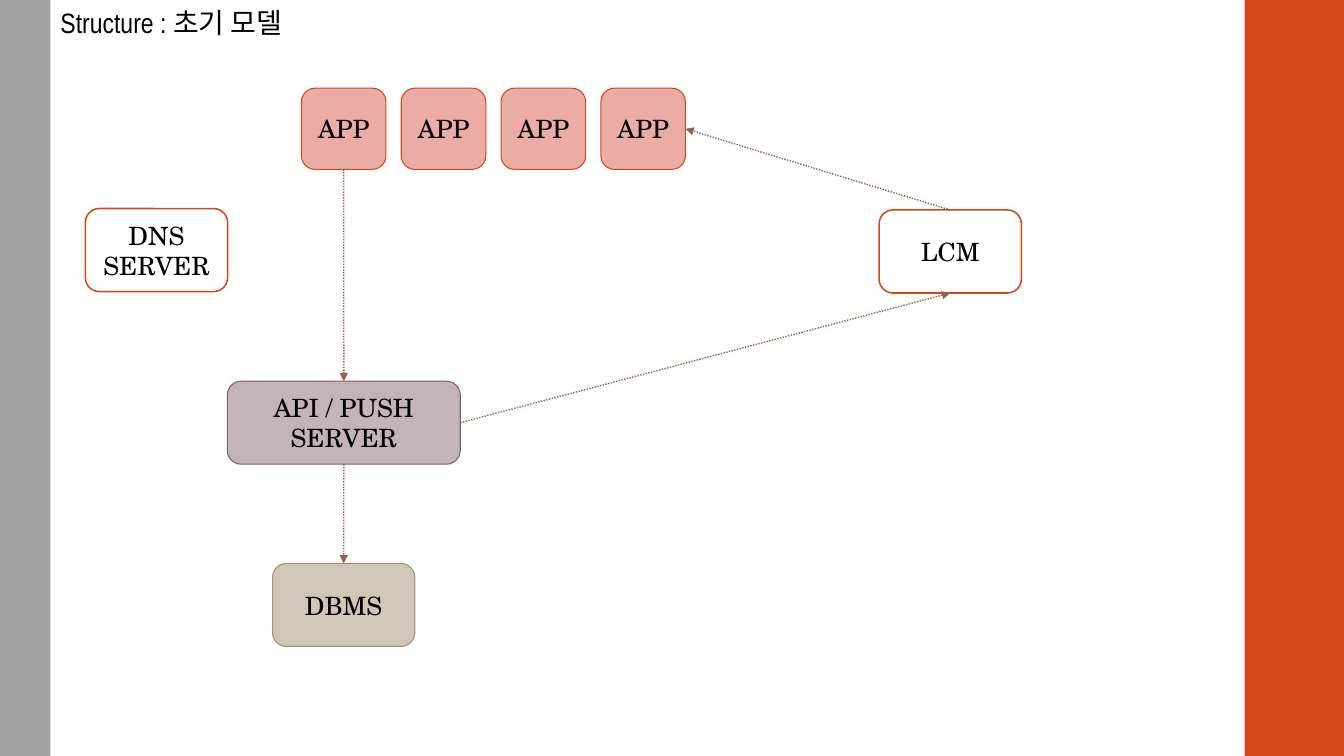
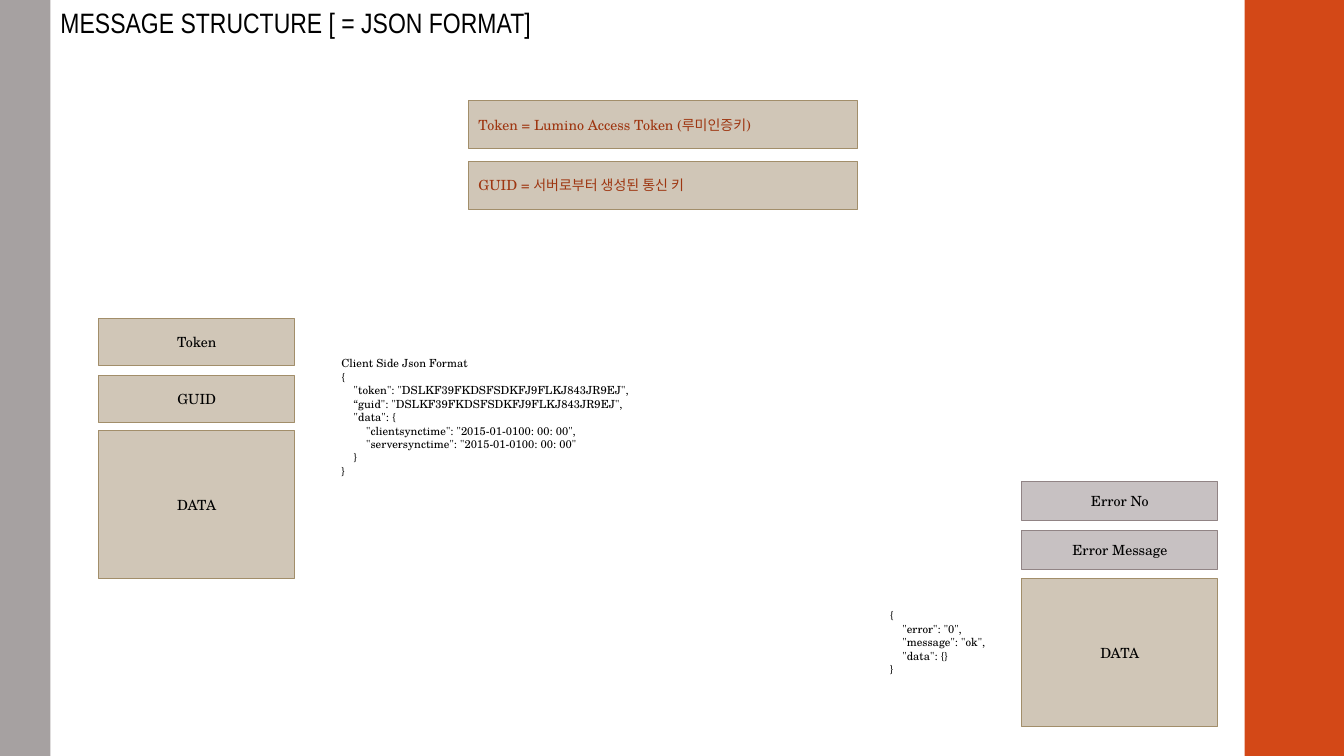
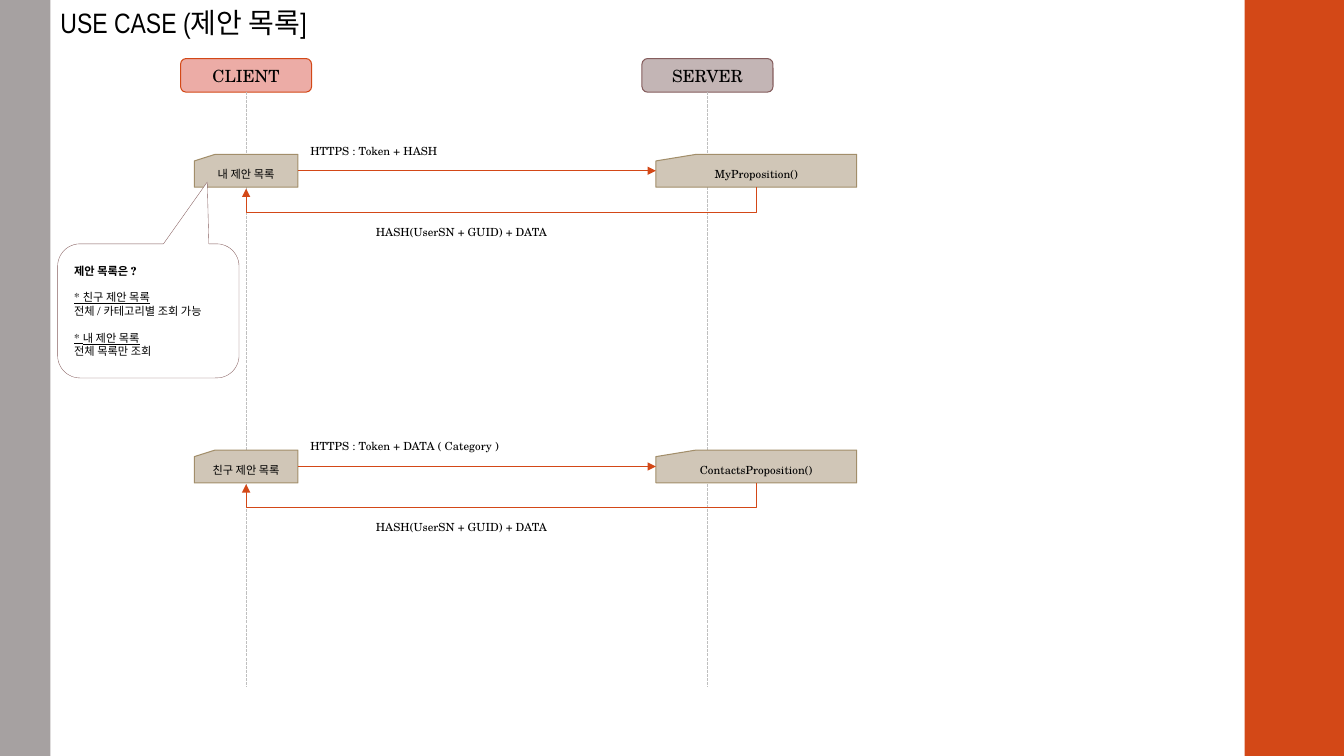
"""Build three slides on the structure, messages and use case of a push service."""
from pptx import Presentation
from pptx.dml.color import RGBColor
from pptx.enum.dml import MSO_LINE
from pptx.enum.shapes import MSO_CONNECTOR, MSO_SHAPE
from pptx.enum.text import MSO_ANCHOR, PP_ALIGN
from pptx.oxml.ns import qn
from pptx.util import Pt
from lxml import etree

RECT = MSO_SHAPE.RECTANGLE
ROUND = MSO_SHAPE.ROUNDED_RECTANGLE
CARD = MSO_SHAPE.FLOWCHART_CARD
CALLOUT = MSO_SHAPE.ROUNDED_RECTANGULAR_CALLOUT
STRAIGHT, ELBOW = MSO_CONNECTOR.STRAIGHT, MSO_CONNECTOR.ELBOW
DOT, DASH = MSO_LINE.ROUND_DOT, MSO_LINE.SQUARE_DOT
LEFT, CENTER = PP_ALIGN.LEFT, PP_ALIGN.CENTER
TOP, MIDDLE = MSO_ANCHOR.TOP, MSO_ANCHOR.MIDDLE
TOP_SIDE, LEFT_SIDE, BOTTOM_SIDE, RIGHT_SIDE = range(4)

ORANGE, GRAY, WHITE, BLACK = "D34817", "A6A1A1", "FFFFFF", "000000"
PINK, MAUVE, PLUM = "ECACA6", "C3B5B5", "855D5D"
SAND, BROWN, RUST = "D0C6B7", "A28E6A", "9E3611"
SILVER, SLATE = "C7C1C2", "918485"
DOTTED, PALE = "956251", "BFBFBF"
TITLE_FONT, BODY_FONT = "Arial Narrow", "TeX Gyre Schola"
INDENT = 8.9
rgb = RGBColor.from_string


def write(shape, text, size=18, font=BODY_FONT, color=BLACK, align=CENTER,
          anchor=MIDDLE, fill=None, line=None, width=0.75):
    """Fill a shape with text, one paragraph a line; leading tabs set its indent."""
    if fill:
        shape.shadow.inherit = False
        shape.fill.solid()
        shape.fill.fore_color.rgb = rgb(fill)
        shape.line.color.rgb = rgb(line)
        shape.line.width = Pt(width)
    frame = shape.text_frame
    frame.word_wrap = True
    frame.vertical_anchor = anchor
    for index, words in enumerate(text.split("\n")):
        para = frame.add_paragraph() if index else frame.paragraphs[0]
        para.alignment = align
        level = words.count("\t")
        if level:
            para._p.get_or_add_pPr().set("marL", str(Pt(INDENT * level)))
        span = para.add_run()
        span.text = words.lstrip("\t")
        span.font.size = Pt(size)
        span.font.name = font
        span.font.color.rgb = rgb(color)
    return shape


def style_line(connector, color=ORANGE, width=0.75, dash=None, arrow=True):
    """Set the colour, width, dash and arrowhead of a connector."""
    connector.line.color.rgb = rgb(color)
    connector.line.width = Pt(width)
    if dash:
        connector.line.dash_style = dash
    outline = connector.element.spPr.find(qn("a:ln"))
    if arrow:
        etree.SubElement(outline, qn("a:tailEnd"), type="triangle")
    etree.SubElement(connector.element.spPr, qn("a:effectLst"))


deck = Presentation()
deck.slide_width, deck.slide_height = Pt(960), Pt(540)
layout = deck.slide_layouts[5]
layout_title = layout.placeholders[0]
layout_title.left, layout_title.top = Pt(36), Pt(0)
layout_title.width, layout_title.height = Pt(853), Pt(31.7)

pages = []
for heading in ("Structure : 초기 모델", "MESSAGE STRUCTURE [ = JSON FORMAT]",
                "USE CASE (제안 목록]"):
    page = deck.slides.add_slide(layout)
    write(page.shapes.title, heading, size=20, font=TITLE_FONT, align=LEFT)
    pages.append(page)
structure, message, use_case = pages

for number, (left, width, color) in enumerate([(889, 71, ORANGE), (0, 36, GRAY)]):
    band = structure.shapes.add_shape(RECT, Pt(left), Pt(0), Pt(width), Pt(540))
    band.shadow.inherit = False
    band.fill.solid()
    band.fill.fore_color.rgb = rgb(color)
    band.line.fill.background()
    band.element.nvSpPr.cNvPr.set("id", str(20 + number))
    layout.shapes.element.insert(2, band.element)

apps = []
for column in range(4):
    app = structure.shapes.add_shape(ROUND, Pt(215.3 + 71.3 * column), Pt(63),
                                     Pt(60.4), Pt(58))
    apps.append(write(app, "APP", fill=PINK, line=ORANGE))

nodes = []
for text, left, top, width, fill, line, weight in [
    ("DNS\nSERVER", 61, 149, 101.6, WHITE, ORANGE, 1.1),
    ("API / PUSH\nSERVER", 162.4, 272.3, 166.4, MAUVE, PLUM, 0.75),
    ("DBMS", 194.7, 402.5, 101.6, SAND, BROWN, 0.75),
    ("LCM", 628, 150, 101.6, WHITE, ORANGE, 1.1),
]:
    node = structure.shapes.add_shape(ROUND, Pt(left), Pt(top), Pt(width), Pt(59.3))
    nodes.append(write(node, text, fill=fill, line=line, width=weight))
dns, api, dbms, messaging = nodes

for source, source_side, target, target_side in [
    (apps[0], BOTTOM_SIDE, api, TOP_SIDE),
    (api, BOTTOM_SIDE, dbms, TOP_SIDE),
    (api, RIGHT_SIDE, messaging, BOTTOM_SIDE),
    (messaging, TOP_SIDE, apps[-1], RIGHT_SIDE),
]:
    arrow = structure.shapes.add_connector(STRAIGHT, 0, 0, 0, 0)
    arrow.begin_connect(source, source_side)
    arrow.end_connect(target, target_side)
    style_line(arrow, color=DOTTED, width=1, dash=DOT)

for text, left, top, width, height, fill, line, color, align in [
    ("Token = Lumino Access Token (루미인증키)", 334.7, 72, 278, 34.3, SAND, BROWN, RUST, LEFT),
    ("GUID = 서버로부터 생성된 통신 키", 334.7, 115.2, 278, 34.3, SAND, BROWN, RUST, LEFT),
    ("Token", 70.6, 227.4, 139.8, 33.8, SAND, BROWN, BLACK, CENTER),
    ("GUID", 70.6, 268.2, 139.8, 33.8, SAND, BROWN, BLACK, CENTER),
    ("DATA", 70.6, 307.4, 139.8, 106, SAND, BROWN, BLACK, CENTER),
    ("Error No", 730, 344.2, 139.8, 27.6, SILVER, SLATE, BLACK, CENTER),
    ("Error Message", 730, 379, 139.8, 27.6, SILVER, SLATE, BLACK, CENTER),
    ("DATA", 730, 413.3, 139.8, 106, SAND, BROWN, BLACK, CENTER),
]:
    field = message.shapes.add_shape(RECT, Pt(left), Pt(top), Pt(width), Pt(height))
    write(field, text, size=10, color=color, align=align, fill=fill, line=line)

REQUEST = """Client Side Json Format
{
\t"token": "DSLKF39FKDSFSDKFJ9FLKJ843JR9EJ",
\t“guid": "DSLKF39FKDSFSDKFJ9FLKJ843JR9EJ",
\t"data": {
\t\t"clientsynctime": "2015-01-0100: 00: 00",
\t\t"serversynctime": "2015-01-0100: 00: 00"
\t}
}"""
RESPONSE = """{
\t"error": "0",
\t"message": "ok",
\t"data": {}
}"""
for text, left, top, width, height in [
    (REQUEST, 236.7, 251.3, 240, 94.3),
    (RESPONSE, 628.6, 431.3, 95, 55.4),
]:
    sample = message.shapes.add_textbox(Pt(left), Pt(top), Pt(width), Pt(height))
    write(sample, text, size=8, align=LEFT, anchor=TOP)

for text, left, fill, line in [("CLIENT", 129, PINK, ORANGE),
                               ("SERVER", 458.6, MAUVE, PLUM)]:
    actor = use_case.shapes.add_shape(ROUND, Pt(left), Pt(41.8), Pt(93.6), Pt(24))
    write(actor, text, size=12, fill=fill, line=line)
    center = Pt(left + 46.8)
    lifeline = use_case.shapes.add_connector(STRAIGHT, center, Pt(65.8), center, Pt(491))
    lifeline.begin_connect(actor, BOTTOM_SIDE)
    style_line(lifeline, color=PALE, dash=DASH, arrow=False)

for top, request, handler, payload in [
    (110.3, "내 제안 목록", "MyProposition()", "HTTPS : Token + HASH"),
    (321.5, "친구 제안 목록", "ContactsProposition()", "HTTPS : Token + DATA ( Category )"),
]:
    cards = []
    for text, left, width in [(request, 138.8, 74), (handler, 468.5, 143.4)]:
        card = use_case.shapes.add_shape(CARD, Pt(left), Pt(top), Pt(width), Pt(23.4))
        cards.append(write(card, text, size=8, fill=SAND, line=BROWN))
    call = use_case.shapes.add_connector(STRAIGHT, 0, 0, 0, 0)
    call.begin_connect(cards[0], RIGHT_SIDE)
    call.end_connect(cards[1], LEFT_SIDE)
    style_line(call)

    reach = 364.4
    reply_top = top + 23.9 - reach / 2
    reply = use_case.shapes.add_connector(ELBOW, Pt(357.5), Pt(reply_top),
                                          Pt(358.5), Pt(reply_top + reach))
    reply.rotation = 90
    guides = reply.element.spPr.find(qn("a:prstGeom")).get_or_add_avLst()
    etree.SubElement(guides, qn("a:gd"), name="adj1", fmla="val 1800000")
    style_line(reply)

    for text, left, drop in [(payload, 214.6, -11),
                             ("HASH(UserSN + GUID) + DATA", 261.4, 46.8)]:
        label = use_case.shapes.add_textbox(Pt(left), Pt(top + drop), Pt(202.3), Pt(17))
        write(label, text, size=8, align=LEFT, anchor=TOP)

note = use_case.shapes.add_shape(CALLOUT, Pt(41.2), Pt(174.2), Pt(129.6), Pt(95.8))
for index, value in enumerate((0.325, -0.961, 0.167)):
    note.adjustments[index] = value
write(note, "제안 목록은 ?\n* 친구 제안 목록\n전체 / 카테고리별 조회 가능\n* 내 제안 목록\n전체 목록만 조회",
      size=8, align=LEFT, fill=WHITE, line=PLUM, width=0.25)
note_lines = note.text_frame.paragraphs
note_lines[0].runs[0].font.bold = True
for para in note_lines[1::2]:
    para.space_before = Pt(9.6)
    para.runs[0].font.underline = True

deck.save("out.pptx")
